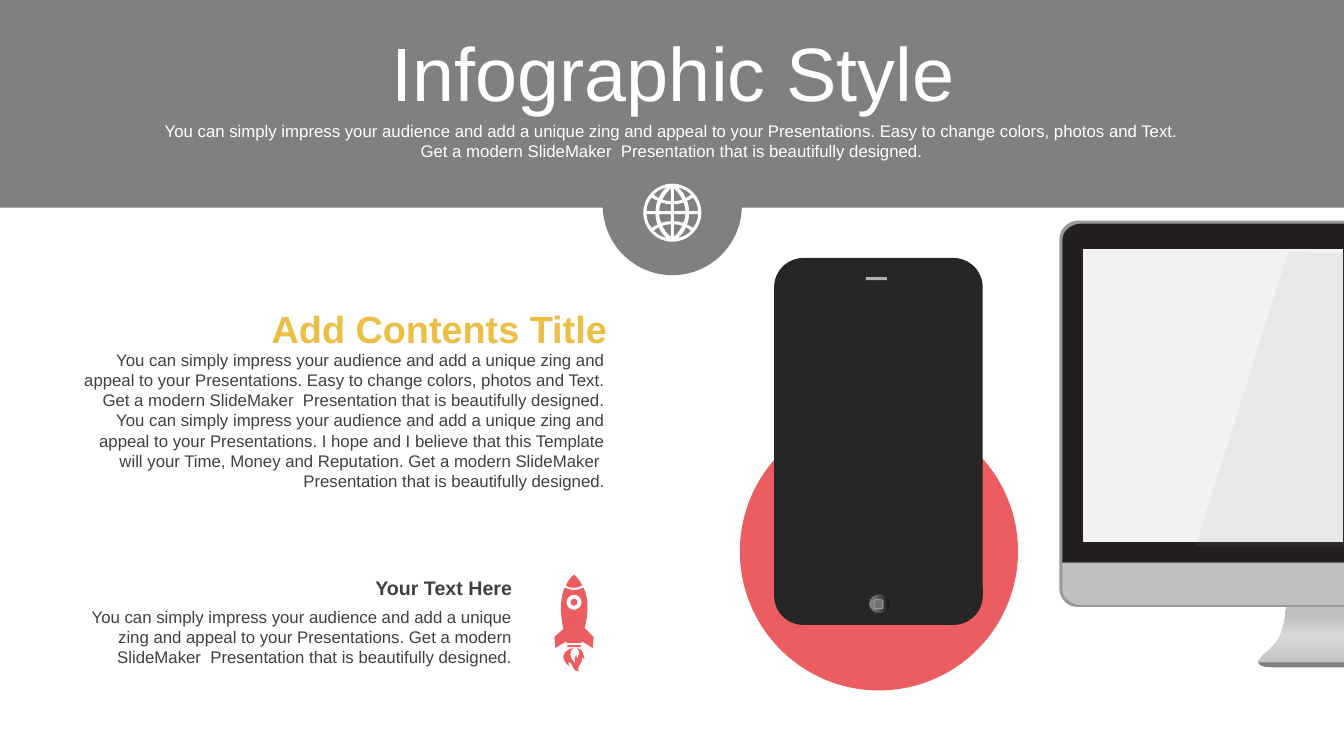
from lxml import etree
from pptx import Presentation
from pptx.dml.color import RGBColor
from pptx.enum.shapes import MSO_SHAPE
from pptx.enum.text import MSO_ANCHOR, MSO_AUTO_SIZE, PP_ALIGN
from pptx.oxml.ns import qn
from pptx.util import Inches, Pt

RECTANGLE, ELLIPSE, ROUNDED = MSO_SHAPE.RECTANGLE, MSO_SHAPE.OVAL, MSO_SHAPE.ROUNDED_RECTANGLE
CENTER, RIGHT = PP_ALIGN.CENTER, PP_ALIGN.RIGHT
MIDDLE, NO_AUTOFIT = MSO_ANCHOR.MIDDLE, MSO_AUTO_SIZE.NONE

WHITE = RGBColor(0xFF, 0xFF, 0xFF)
GRAY = RGBColor(0x80, 0x80, 0x80)
CORAL = RGBColor(0xEC, 0x5D, 0x62)
GOLD = RGBColor(0xED, 0xBE, 0x44)
TEXT_GRAY = RGBColor(0x40, 0x40, 0x40)
PHONE_BLACK = RGBColor(0x26, 0x26, 0x26)
SPEAKER_GRAY = RGBColor(0xB0, 0xB0, 0xB0)
KEY_GRAY = RGBColor(0x73, 0x73, 0x73)
FRAME_GRAY = RGBColor(0x99, 0x99, 0x99)
BEZEL_BLACK = RGBColor(0x23, 0x1F, 0x20)
SILVER = RGBColor(0xBF, 0xBF, 0xBF)
SCREEN_GRAY = RGBColor(0xF2, 0xF2, 0xF2)
STAND_STOPS = [(0, "BFBFBF"), (53, "D9D9D9"), (83, "BFBFBF"), (100, "BFBFBF")]
BUTTON_STOPS = [(0, "0F0F0F"), (56, "595959"), (91, "808080"), (100, "BFBFBF")]

EDGE = 40 / 3
TITLE = "Infographic Style"
IMPRESS = "You can simply impress your audience and add a unique zing and appeal to your Presentations."
EASY = "Easy to change colors, photos and Text."
MODERN = "Get a modern SlideMaker  Presentation that is beautifully designed."
BELIEF = "I hope and I believe that this Template will your Time, Money and Reputation."

TEXTS = [
    ((0.72, 3.42, 5.38, 1.51), " ".join([IMPRESS, EASY, MODERN, IMPRESS, BELIEF, MODERN]),
     12, TEXT_GRAY, False, RIGHT),
    ((0.72, 2.98, 5.4, 0.56), "Add Contents Title", 27, GOLD, True, RIGHT),
    ((0.72, 5.97, 4.46, 0.71), f"{IMPRESS} {MODERN}", 12, TEXT_GRAY, False, RIGHT),
    ((0.72, 5.66, 4.46, 0.34), "Your Text Here", 14, TEXT_GRAY, True, RIGHT),
    ((1.5, 1.15, 10.33, 0.5), f"{IMPRESS} {EASY} {MODERN}", 12, WHITE, False, CENTER),
]

STAND = [(12.76, 6.01), (EDGE, 6.01), (EDGE, 6.62), (12.66, 6.62),
         (12.34, 6.62, 12.52, 6.52, 12.64, 6.4), (12.76, 6.27, 12.76, 6.01, 12.76, 6.01)]
FRAME = [(10.69, 2.19), (EDGE, 2.19), (EDGE, 6.02), (10.68, 6.02),
         (10.59, 6.02, 10.51, 5.94, 10.51, 5.84), (10.51, 2.37),
         (10.51, 2.27, 10.6, 2.19, 10.69, 2.19)]
BEZEL = [(10.72, 2.22), (EDGE, 2.22), (EDGE, 5.58), (10.54, 5.58), (10.54, 2.38),
         (10.54, 2.29, 10.63, 2.22, 10.72, 2.22)]
BASE = [(12.49, 6.57), (EDGE, 6.57), (EDGE, 6.62), (12.67, 6.62),
        (12.54, 6.62, 12.49, 6.61, 12.49, 6.57)]
CHIN = [(10.54, 5.59), (EDGE, 5.59), (EDGE, 6), (10.72, 6),
        (10.63, 6, 10.54, 5.93, 10.54, 5.85)]
SCREEN = [(10.74, 2.47), (13.32, 2.47), (13.32, 5.38), (10.74, 5.38)]
GLARE = [(12.78, 2.5), (EDGE, 2.51), (EDGE, 5.42), (11.86, 5.42)]

DEVICES = [
    (RECTANGLE, (0, 0, EDGE, 2.06), GRAY, None),
    (ELLIPSE, (5.98, 1.35, 1.38, 1.38), GRAY, None),
    (ELLIPSE, (7.34, 4.09, 2.76, 2.76), CORAL, None),
    (ROUNDED, (7.68, 2.56, 2.07, 3.64), PHONE_BLACK, None),
    (RECTANGLE, (8.59, 2.75, 0.21, 0.03), SPEAKER_GRAY, None),
    (ELLIPSE, (8.62, 5.89, 0.21, 0.2), BUTTON_STOPS, (PHONE_BLACK, 0)),
    (ROUNDED, (8.67, 5.95, 0.09, 0.09), KEY_GRAY, (SPEAKER_GRAY, 0.5)),
]

ICON_UNIT = 0.01
GLOBE_CENTER = (6.67, 2.11)
GLOBE_RADIUS = 28.8
GLOBE_CELLS = [
    [(1.5, 1.5), (13, 1.5), (13, 4.5, 12.5, 7.5, 11, 10), (8, 9, 5, 8.5, 1.5, 8.5)],
    [(16.5, 1.5), (25.5, 1.5), (25.5, 7, 23.5, 11.5, 20.5, 15), (18.5, 13.5, 17, 13, 14.5, 12),
     (16, 9, 16.5, 5, 16.5, 1.5)],
    [(1.5, 11.5), (4.5, 11.5, 7.5, 12, 10, 13), (8, 17, 5, 21, 1.5, 24)],
    [(13.5, 14.5), (15.5, 15.5, 17, 16.5, 18.5, 18), (15, 21.5, 11, 24, 5.5, 25),
     (9, 22.5, 11.5, 19, 13.5, 14.5)],
]
ROCKET_CORNER = (5.5, 5.7)
ROCKET_WINDOW = (19.5, 27.5)
ROCKET = [
    [(19, 73), (15, 75, 14, 83, 21, 88), (19, 83, 21, 81, 22, 79), (22, 80, 21, 82, 23, 84),
     (22, 80, 28, 78, 22, 73), (30, 75, 28, 79, 30, 84), (28, 84, 26, 80, 27, 82),
     (29, 89, 22, 89, 24, 96), (17, 96, 19, 88, 15, 87), (14, 87, 13, 87, 15, 91),
     (3, 82, 11, 74, 19, 73)],
    [(13, 70), (27, 70), (26, 70, 26, 71, 26, 72), (13, 72)],
    [(10, 13), (16, 16, 23, 16, 29, 13), (35, 26, 33, 41, 30, 53), (39, 62), (38, 73), (27, 66),
     (27, 68), (12, 68), (12, 66), (1, 73), (0, 62), (9, 54), (6, 41, 5, 26, 10, 13)],
    [(19.5, 0), (23, 3, 26, 7, 27.5, 11), (22, 14, 16, 14, 11.5, 11), (13, 7, 16, 3, 19.5, 0)],
]


def transform(contour, origin, scale):
    """Scale and move every coordinate pair of a contour."""
    return [tuple(origin[i % 2] + scale[i % 2] * value for i, value in enumerate(segment))
            for segment in contour]


def circle(center, radius):
    """Return a circle made of four cubic curves."""
    bend = 0.55
    unit_circle = [(1, 0), (1, bend, bend, 1, 0, 1), (-bend, 1, -1, bend, -1, 0),
                   (-1, -bend, -bend, -1, 0, -1), (bend, -1, 1, -bend, 1, 0)]
    return transform(unit_circle, center, (radius, radius))


def paint(shape, fill, angle=0):
    """Give a shape a flat colour or gradient stops, without line or shadow."""
    shape.shadow.inherit = False
    shape.line.fill.background()
    if isinstance(fill, RGBColor):
        shape.fill.solid()
        shape.fill.fore_color.rgb = fill
        return
    shape.fill.gradient()
    shape.fill.gradient_angle = 360 - angle
    stop_list = shape.element.spPr.find(qn("a:gradFill")).find(qn("a:gsLst"))
    for old_stop in list(stop_list):
        stop_list.remove(old_stop)
    for position, color in fill:
        stop = etree.SubElement(stop_list, qn("a:gs"), pos=str(position * 1000))
        etree.SubElement(stop, qn("a:srgbClr"), val=color)


def add_outline(slide, contours, fill, origin=(0, 0), unit=1, angle=0):
    """Draw contours of lines and cubic curves as one freeform."""
    placed = [[tuple(map(Inches, segment)) for segment in
               transform(contour, origin, (unit, unit))] for contour in contours]
    builder = slide.shapes.build_freeform(*placed[0][0], scale=1.0)
    for index, contour in enumerate(placed):
        if index:
            builder.move_to(*contour[0])
        builder.add_line_segments([segment[-2:] for segment in contour[1:]], close=True)
    shape = builder.convert_to_shape()
    lines = list(shape.element.spPr.iter(qn("a:lnTo")))
    segments = [segment for contour in placed for segment in contour[1:]]
    for line, segment in zip(lines, segments):
        if len(segment) == 6:
            curve = etree.Element(qn("a:cubicBezTo"))
            for x, y in zip(segment[::2], segment[1::2]):
                etree.SubElement(curve, qn("a:pt"), x=str(x - shape.left), y=str(y - shape.top))
            line.getparent().replace(line, curve)
    paint(shape, fill, angle)
    return shape


def add_text(paragraph, text, size, color, bold, alignment):
    """Add one formatted run to a paragraph."""
    paragraph.alignment = alignment
    run = paragraph.add_run()
    run.text = text
    run.font.name, run.font.size, run.font.bold = "Arial", Pt(size), bold
    run.font.color.rgb = color


def main():
    """Build the slide and save it."""
    presentation = Presentation()
    presentation.slide_width, presentation.slide_height = Inches(EDGE), Inches(7.5)
    slide = presentation.slides.add_slide(presentation.slide_layouts[5])

    add_outline(slide, [STAND], STAND_STOPS, angle=270)
    for contour, color in [(FRAME, FRAME_GRAY), (BEZEL, BEZEL_BLACK), (BASE, GRAY),
                           (CHIN, SILVER), (SCREEN, SCREEN_GRAY)]:
        add_outline(slide, [contour], color)
    glare = add_outline(slide, [GLARE], FRAME_GRAY)
    glare_color = glare.element.spPr.find(qn("a:solidFill"))[0]
    etree.SubElement(glare_color, qn("a:alpha"), val="10000")

    for kind, box, fill, line in DEVICES:
        shape = slide.shapes.add_shape(kind, *map(Inches, box))
        paint(shape, fill, 180)
        if fill == PHONE_BLACK:
            shape.adjustments[0] = 0.14
        if line:
            shape.line.color.rgb = line[0]
            shape.line.width = Pt(line[1])

    title = slide.shapes.title
    title.left, title.top, title.width, title.height = map(Inches, (0.35, 0.37, 12.66, 0.79))
    slide.shapes.element.append(title.element)
    title.text_frame.vertical_anchor = MIDDLE
    title.text_frame.auto_size = NO_AUTOFIT
    title.text_frame.paragraphs[0].line_spacing = 0.9
    add_text(title.text_frame.paragraphs[0], TITLE, 54, WHITE, False, CENTER)

    for box, *formatting in TEXTS:
        frame = slide.shapes.add_textbox(*map(Inches, box)).text_frame
        frame.word_wrap = True
        add_text(frame.paragraphs[0], *formatting)

    cells = [transform(cell, (0, 0), (across, down))
             for cell in GLOBE_CELLS for across in (1, -1) for down in (1, -1)]
    add_outline(slide, [circle((0, 0), GLOBE_RADIUS)] + cells, WHITE, GLOBE_CENTER, ICON_UNIT)
    window = [circle(ROCKET_WINDOW, radius) for radius in (7.5, 3.5)]
    add_outline(slide, ROCKET + window, CORAL, ROCKET_CORNER, ICON_UNIT)
    presentation.save("out.pptx")


if __name__ == "__main__":
    main()
